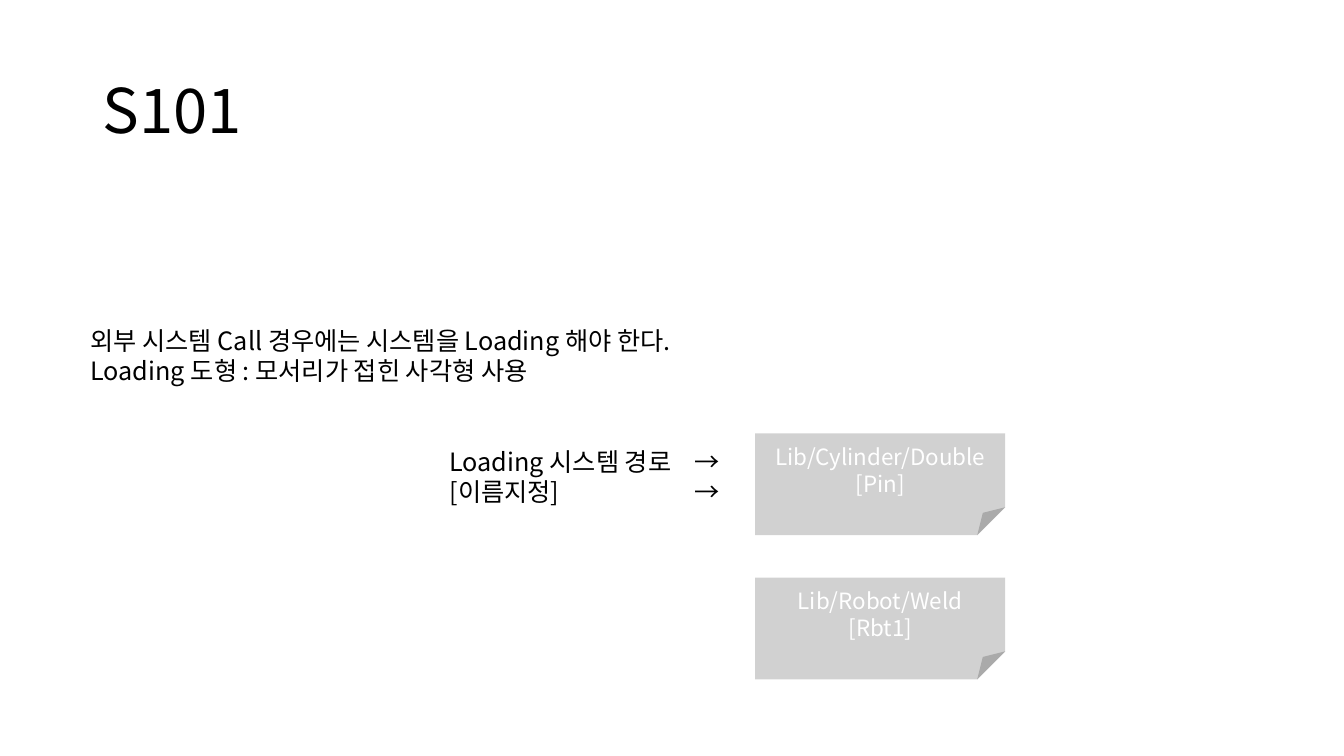
from lxml.etree import SubElement
from pptx import Presentation
from pptx.dml.color import RGBColor
from pptx.enum.shapes import MSO_SHAPE
from pptx.enum.text import MSO_ANCHOR, PP_ALIGN
from pptx.oxml.ns import qn
from pptx.util import Inches, Pt

FONT = "Noto Sans CJK KR"
ARROW_TAB = 2.43
CARD_LEFT, CARD_TOP, CARD_PITCH = 7.49, 4.3, 1.43
CARD_WIDTH, CARD_HEIGHT = 2.48, 1.01
CARDS = [
    ["Lib/Cylinder/Double", "[Pin]"],
    ["Lib/Robot/Weld", "[Rbt1]"],
]


def color(value):
    return RGBColor.from_string(value)


def add_tab_stop(paragraph, position):
    tab_list = SubElement(paragraph._p.get_or_add_pPr(), qn("a:tabLst"))
    SubElement(tab_list, qn("a:tab"), pos=str(Inches(position)), algn="l")


def write_lines(shape, lines, size, text_color, tab=None, **paragraph_format):
    frame = shape.text_frame
    frame.word_wrap = True
    for index, line in enumerate(lines):
        paragraph = frame.paragraphs[0] if index == 0 else frame.add_paragraph()
        for name, value in paragraph_format.items():
            setattr(paragraph, name, value)
        if tab:
            add_tab_stop(paragraph, tab)
        run = paragraph.add_run()
        run.text = line
        for name, value in {"name": FONT, "size": Pt(size)}.items():
            setattr(run.font, name, value)
        run.font.color.rgb = color(text_color)
        # Korean glyphs take the East Asian typeface
        SubElement(run.font._element, qn("a:ea"), typeface=FONT)


def add_text(slide, box, lines, size=18, anchor=MSO_ANCHOR.TOP, **options):
    shape = slide.shapes.add_textbox(*map(Inches, box))
    shape.text_frame.vertical_anchor = anchor
    write_lines(shape, lines, size, "000000", **options)


def add_loading_card(slide, box, lines):
    card = slide.shapes.add_shape(MSO_SHAPE.FOLDED_CORNER, *map(Inches, box))
    # Size of the folded corner
    geometry = card._element.spPr.find(qn("a:prstGeom"))
    SubElement(geometry.get_or_add_avLst(), qn("a:gd"), name="adj", fmla="val 27500")
    card.shadow.inherit = False
    card.line.fill.background()
    card.fill.solid()
    card.fill.fore_color.rgb = color("A5A5A5")
    # Half-transparent fill
    fill_color = card._element.spPr.find(qn("a:solidFill"))[0]
    SubElement(fill_color, qn("a:alpha"), val="50000")
    card.text_frame.vertical_anchor = MSO_ANCHOR.MIDDLE
    write_lines(card, lines, 16, "FFFFFF", alignment=PP_ALIGN.CENTER)


def build_loading_slide(presentation):
    slide = presentation.slides.add_slide(presentation.slide_layouts[6])

    # Title
    add_text(slide, (0.92, 0.4, 11.5, 1.45), ["S101"], 44,
             MSO_ANCHOR.MIDDLE, line_spacing=0.9)

    # Labels pointing at the first card
    add_text(slide, (4.36, 4.38, 4.28, 0.71),
             ["Loading 시스템 경로\t→", "[이름지정]\t→"], tab=ARROW_TAB)

    # Explanation
    add_text(slide, (0.8, 3.18, 10.58, 0.71),
             ["외부 시스템 Call 경우에는 시스템을 Loading 해야 한다.",
              "Loading 도형 : 모서리가 접힌 사각형 사용"])

    # Loaded systems
    for index, lines in enumerate(CARDS):
        top = CARD_TOP + index * CARD_PITCH
        add_loading_card(slide, (CARD_LEFT, top, CARD_WIDTH, CARD_HEIGHT), lines)


def main():
    presentation = Presentation()
    presentation.slide_width = Inches(13.33)
    presentation.slide_height = Inches(7.5)
    build_loading_slide(presentation)
    presentation.save("out.pptx")


if __name__ == "__main__":
    main()
